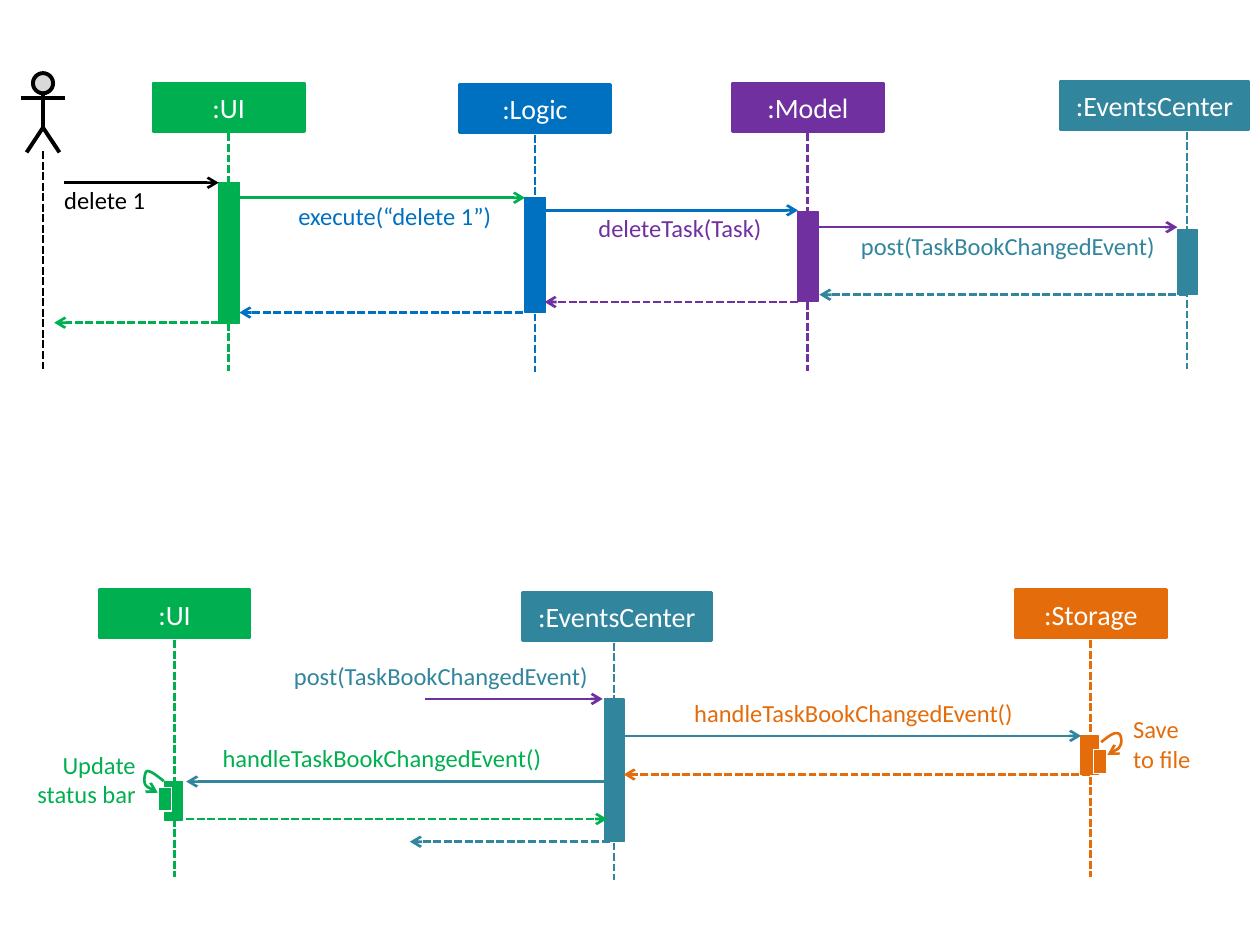
from pptx import Presentation
from pptx.dml.color import RGBColor
from pptx.enum import dml, shapes, text
from pptx.oxml import ns
from pptx.util import Pt
from lxml import etree

GREEN = RGBColor(0x00, 0xB0, 0x50)
BLUE = RGBColor(0x00, 0x70, 0xC0)
PURPLE = RGBColor(0x70, 0x30, 0xA0)
TEAL = RGBColor(0x31, 0x85, 0x9C)
ORANGE = RGBColor(0xE4, 0x6C, 0x0A)
BLACK = RGBColor(0, 0, 0)
GRAY = RGBColor(0xD9, 0xD9, 0xD9)
WHITE = RGBColor(0xFF, 0xFF, 0xFF)

prs = Presentation()
prs.slide_width, prs.slide_height = Pt(720), Pt(540)
s = prs.slides.add_slide(prs.slide_layouts[6])


def add_box(x, y, w, h, fill, line, weight, kind=shapes.MSO_SHAPE.RECTANGLE):
    """Add a filled, outlined preset shape."""
    sp = s.shapes.add_shape(kind, Pt(x), Pt(y), Pt(w), Pt(h))
    sp.shadow.inherit = False
    sp.fill.solid()
    sp.fill.fore_color.rgb = fill
    sp.line.color.rgb = line
    sp.line.width = Pt(weight)
    return sp


def add_line(points, color, weight=1.5, dashed=False, arrow=False):
    """Add a connector for two points, or an open outline for more."""
    if len(points) == 2:
        (x1, y1), (x2, y2) = points
        sp = s.shapes.add_connector(shapes.MSO_CONNECTOR.STRAIGHT,
                                    Pt(x1), Pt(y1), Pt(x2), Pt(y2))
        etree.SubElement(sp._element.spPr, ns.qn("a:effectLst"))
    else:
        fb = s.shapes.build_freeform(round(points[0][0] * 100),
                                     round(points[0][1] * 100), scale=127.0)
        fb.add_line_segments([(round(x * 100), round(y * 100))
                              for x, y in points[1:]], close=False)
        sp = fb.convert_to_shape()
        sp.shadow.inherit = False
        sp.fill.background()
    sp.line.color.rgb = color
    sp.line.width = Pt(weight)
    if dashed:
        sp.line.dash_style = dml.MSO_LINE.SQUARE_DOT
    if arrow:
        ln = sp._element.spPr.find(ns.qn("a:ln"))
        etree.SubElement(ln, ns.qn("a:tailEnd"), type="arrow")


# Actor with lifeline
ACTOR_X = 24.6
add_box(ACTOR_X - 5.75, 41.8, 11.5, 11.5, GRAY, BLACK, 2.25,
        shapes.MSO_SHAPE.FLOWCHART_CONNECTOR)
add_line([(ACTOR_X, 53.3), (ACTOR_X, 73.4)], BLACK, 2.25)
add_line([(ACTOR_X - 9.4, 87.1), (ACTOR_X, 72.9), (ACTOR_X + 9.4, 87.1)],
         BLACK, 2.25)
add_line([(ACTOR_X - 12.6, 56.2), (ACTOR_X + 12.6, 56.2)], BLACK, 2.25)
add_line([(ACTOR_X, 86.4), (ACTOR_X, 212.4)], BLACK, dashed=True)

# Participants: name, color, box left, top, width, lifeline x,
# activation bar left, top, width, height
participants = [
    (":UI", GREEN, 87.5, 47.5, 86.4, 130.5, 125, 104.4, 12, 80.2),
    (":Logic", BLUE, 262.5, 48.2, 86.4, 305.8, 300, 113, 11.6, 65.7),
    (":Model", PURPLE, 418.5, 47.5, 86.4, 461.6, 455.8, 121, 11.6, 51.1),
    (":EventsCenter", TEAL, 605.8, 46.5, 108, 678.4, 672.8, 131.5, 11.6, 36.7),
    (":UI", GREEN, 56.6, 337, 86.4, 99.8, 94, 446.6, 10.4, 22),
    (":EventsCenter", TEAL, 298.5, 338.5, 108, 350.8, 345.4, 399.4, 11.2, 81.4),
    (":Storage", ORANGE, 580.2, 337, 86.4, 623.3, 617.5, 420.5, 10.4, 22.3),
]
for name, color, x, y, w, life_x, bar_x, bar_y, bar_w, bar_h in participants:
    sp = add_box(x, y, w, 27.6, color, color, 1.5)
    tf = sp.text_frame
    tf.text = name
    tf.vertical_anchor = text.MSO_ANCHOR.MIDDLE
    p = tf.paragraphs[0]
    p.alignment = text.PP_ALIGN.CENTER
    r = p.runs[0]
    r.font.size, r.font.name = Pt(16), "Calibri"
    r.font.color.rgb = WHITE
    add_line([(life_x, y + 28.8), (life_x, y + 164.4)], color, dashed=True)
    add_box(bar_x, bar_y, bar_w, bar_h, color, color, 0.75)

# Messages: from x, to x, y, color, is a return
messages = [
    (36.7, 125, 104.4, BLACK, False),
    (136.8, 300, 113, GREEN, False),
    (311.8, 456, 120.2, BLUE, False),
    (467.3, 672.8, 129.8, PURPLE, False),
    (678.2, 468.2, 168.4, TEAL, True),
    (455.8, 311.2, 172.6, PURPLE, True),
    (298.8, 136.8, 178.6, BLUE, True),
    (125.3, 31, 184.4, GREEN, True),
    (242.6, 344.4, 399.4, PURPLE, False),
    (356.4, 617.8, 420.5, TEAL, False),
    (622.8, 356.4, 442.6, ORANGE, True),
    (347, 106.4, 446.6, TEAL, False),
    (106.4, 347, 468, GREEN, True),
    (348.3, 234.2, 481, TEAL, True),
]
for x1, x2, y, color, is_return in messages:
    add_line([(x1, y), (x2, y)], color, dashed=is_return, arrow=True)

# Self calls: color, Bezier points from bar to inner box, inner box left, top
self_calls = [
    (GREEN, [(93.6, 446.4), (90, 443.5), (86.4, 440.6), (84.2, 440.6),
             (82.8, 440.6), (82.1, 445.7), (82.8, 447.8),
             (83.5, 450), (87.1, 451.4), (90.2, 453)], 90.4, 450),
    (ORANGE, [(629.3, 424.1), (632.9, 421.2), (636.5, 418.3), (638.6, 419),
              (640.8, 419), (641.5, 424.1), (640.1, 426.2),
              (639.4, 428.4), (635.8, 429.8), (632.9, 431.3)], 624.8, 428.4),
]
STEPS = 12
for color, curve, x, y in self_calls:
    loop = [curve[0]]
    for i in range(0, len(curve) - 1, 3):
        for step in range(1, STEPS + 1):
            t = step / STEPS
            weights = ((1 - t) ** 3, 3 * t * (1 - t) ** 2,
                       3 * t * t * (1 - t), t ** 3)
            loop.append(tuple(sum(k * pt[axis] for k, pt in
                                  zip(weights, curve[i:i + 4]))
                              for axis in (0, 1)))
    add_line(loop, color, arrow=True)
    add_box(x, y, 7.6, 13.5, color, WHITE, 0.75)

# Labels: text, color, left, top, width, height, alignment
LEFT, RIGHT = text.PP_ALIGN.LEFT, text.PP_ALIGN.RIGHT
labels = [
    ("delete 1", BLACK, 36.7, 106, 67.7, 17, LEFT),
    ("execute(“delete 1”)", BLUE, 170.5, 114.6, 112.3, 17, LEFT),
    ("deleteTask(Task)", PURPLE, 342, 122, 112.3, 17, LEFT),
    ("post(TaskBookChangedEvent)", TEAL, 492, 132, 192.2, 17, LEFT),
    ("post(TaskBookChangedEvent)", TEAL, 168, 378, 213.8, 17, LEFT),
    ("handleTaskBookChangedEvent()", ORANGE, 396.7, 399, 209.5, 17, LEFT),
    ("handleTaskBookChangedEvent()", GREEN, 127.2, 424.8, 209.5, 17, LEFT),
    ("Update status bar", GREEN, 15, 428.6, 62.6, 33.9, RIGHT),
    ("Save\vto file", ORANGE, 647.5, 408.2, 42.5, 33.9, LEFT),
]
for label, color, x, y, w, h, align in labels:
    tf = s.shapes.add_textbox(Pt(x), Pt(y), Pt(w), Pt(h)).text_frame
    tf.word_wrap = True
    tf.margin_left = tf.margin_right = tf.margin_top = tf.margin_bottom = 0
    tf.text = label
    p = tf.paragraphs[0]
    p.alignment = align
    for r in p.runs:
        r.font.size, r.font.name = Pt(14), "Calibri"
        r.font.color.rgb = color

prs.save("out.pptx")
